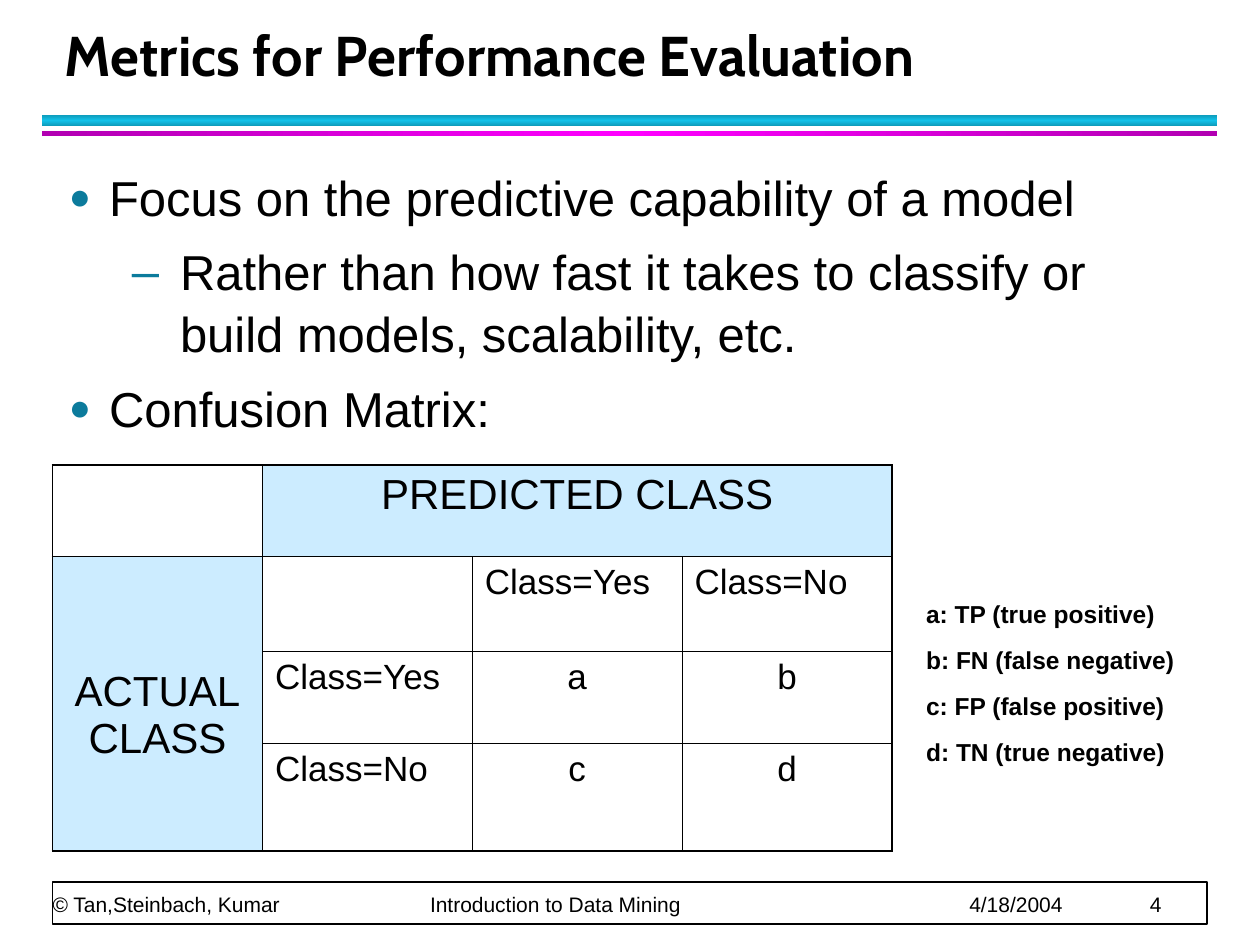
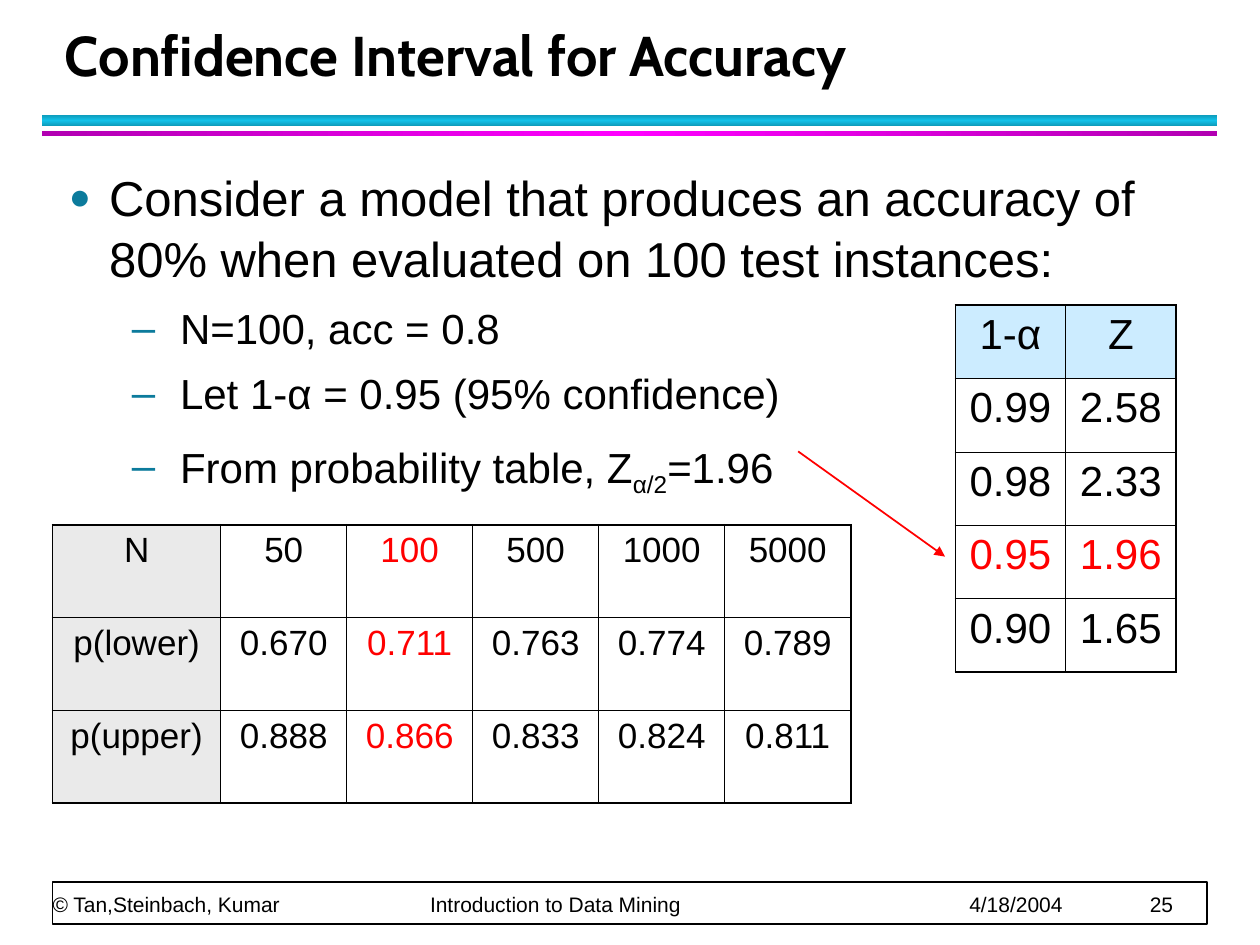
from lxml import etree
from pptx import Presentation
from pptx.dml.color import RGBColor
from pptx.enum.shapes import MSO_CONNECTOR, MSO_SHAPE
from pptx.enum.text import MSO_ANCHOR, PP_ALIGN
from pptx.oxml.ns import qn
from pptx.util import Cm, Pt

RECTANGLE = MSO_SHAPE.RECTANGLE
STRAIGHT = MSO_CONNECTOR.STRAIGHT
TOP, MIDDLE, BOTTOM = MSO_ANCHOR.TOP, MSO_ANCHOR.MIDDLE, MSO_ANCHOR.BOTTOM
LEFT, CENTER = PP_ALIGN.LEFT, PP_ALIGN.CENTER

COLORS = {
    "text": "000000", "white": "FFFFFF", "red": "FF0000",
    "bullet": "0C7B9C", "header": "CCECFF", "label": "EAEAEA",
    "cyan": "12C2E9", "cyan_edge": "0E9BBA",
    "magenta": "FF00FF", "magenta_edge": "B200B2",
}
BODY_FONT, TITLE_FONT = "Arial", "Cabin"
LEFT_EDGE = 1.06
LOOSE = 1.05
# Per level: left indent (cm), hanging indent (cm), bullet, bullet size (%)
BULLETS = [(0.81, 0.81, "●", 75), (2.24, 0.97, "–", 100)]
FOOTER_TABS = [7.61, 18.48, 22.12]


def rgb(name):
    return RGBColor.from_string(COLORS[name])


def sub(parent, tag, **attributes):
    """Append a child element with the given attributes."""
    child = etree.SubElement(parent, qn(tag))
    for key, value in attributes.items():
        child.set(key, str(value))
    return child


class Deck:
    """Shared style and the slide being built; lengths are in centimetres."""

    def __init__(self):
        self.presentation = Presentation()
        self.presentation.slide_width = Cm(25.4)
        self.presentation.slide_height = Cm(19.05)
        self.slide = None

    def new_slide(self, title, number):
        layout = self.presentation.slide_layouts[6]
        self.slide = self.presentation.slides.add_slide(layout)
        self.band(2.32, 0.22, "cyan", 90)
        self.band(2.64, 0.1, "magenta", 0)
        self.footer(number)
        frame = self.text_box(LEFT_EDGE, 0.43, 23.01, 1.47, BOTTOM)
        heading = frame.paragraphs[0]
        heading.line_spacing = Pt(36)
        self.run(heading, title, 32, font=TITLE_FONT, bold=True)

    def rectangle(self, left, top, width, height):
        shape = self.slide.shapes.add_shape(
            RECTANGLE, Cm(left), Cm(top), Cm(width), Cm(height))
        shape.shadow.inherit = False
        return shape

    def band(self, top, height, color, angle):
        band = self.rectangle(0.84, top, 23.7, height)
        band.line.fill.background()
        band.fill.gradient()
        band.fill.gradient_angle = angle
        stops = band.element.spPr.find(qn("a:gradFill")).find(qn("a:gsLst"))
        stops.clear()
        edge = color + "_edge"
        for position, name in ((0, edge), (50, color), (100, edge)):
            stop = sub(stops, "a:gs", pos=position * 1000)
            sub(stop, "a:srgbClr", val=COLORS[name])

    def footer(self, number):
        border = self.rectangle(LEFT_EDGE, 17.78, 23.28, 0.85)
        border.fill.solid()
        border.fill.fore_color.rgb = rgb("white")
        border.line.color.rgb = rgb("text")
        border.line.width = Pt(1)
        frame = self.text_box(LEFT_EDGE, 17.07, 23.24, 1.42, BOTTOM, margins=(0, 0))
        line = frame.paragraphs[0]
        line.line_spacing = Pt(20)
        tabs = sub(line._p.get_or_add_pPr(), "a:tabLst")
        for position in FOOTER_TABS:
            sub(tabs, "a:tab", pos=Cm(position), algn="l")
        parts = ("© Tan,Steinbach, Kumar", "Introduction to Data Mining",
                 "4/18/2004", str(number))
        self.run(line, "\t".join(parts), 12)

    def text_box(self, left, top, width, height, anchor=TOP, margins=(0.25, 0.13)):
        frame = self.slide.shapes.add_textbox(
            Cm(left), Cm(top), Cm(width), Cm(height)).text_frame
        frame.word_wrap = True
        frame.vertical_anchor = anchor
        frame.margin_left = frame.margin_right = Cm(margins[0])
        frame.margin_top = frame.margin_bottom = Cm(margins[1])
        return frame

    def run(self, paragraph, text, size, color="text", font=BODY_FONT,
            bold=False, baseline=0):
        run = paragraph.add_run()
        run.text = text
        run.font.size = Pt(size)
        run.font.name = font
        run.font.bold = bold
        run.font.color.rgb = rgb(color)
        if baseline:
            run.font._element.set("baseline", str(baseline * 1000))

    def paragraphs(self, frame, count):
        """Return the frame's paragraphs after growing it to the given count."""
        for _ in range(count - 1):
            frame.add_paragraph()
        return frame.paragraphs

    def bullets(self, items):
        """Each item is (level, runs); each run is (text, size[, baseline])."""
        frame = self.text_box(1.14, 3.18, 23.11, 14.4)
        for paragraph, (level, runs) in zip(
                self.paragraphs(frame, len(items)), items):
            indent, hanging, mark, percent = BULLETS[level]
            paragraph.level = level
            paragraph.line_spacing = LOOSE
            paragraph.space_before = Pt(max(part[1] for part in runs) / 8)
            paragraph.space_after = Pt(4)
            properties = paragraph._p.get_or_add_pPr()
            properties.set("marL", str(Cm(indent)))
            properties.set("indent", str(-Cm(hanging)))
            color = sub(properties, "a:buClr")
            sub(color, "a:srgbClr", val=COLORS["bullet"])
            sub(properties, "a:buSzPct", val=percent * 1000)
            sub(properties, "a:buFont", typeface=BODY_FONT)
            sub(properties, "a:buChar", char=mark)
            for text, size, *baseline in runs:
                self.run(paragraph, text, size, baseline=sum(baseline))

    def legend(self, lines, left, top, width, height):
        frame = self.text_box(left, top, width, height)
        for paragraph, text in zip(self.paragraphs(frame, len(lines)), lines):
            paragraph.space_before = Pt(8.8)
            paragraph.line_spacing = LOOSE
            self.run(paragraph, text, 14, bold=True)

    def table(self, rows, left, top, widths, heights, size, heads, head_fill,
              head_size=None, spans=(), red=(), left_aligned=()):
        """heads, red and left_aligned hold (row, column) places."""
        table = self.slide.shapes.add_table(
            len(rows), len(widths), Cm(left), Cm(top),
            Cm(sum(widths)), Cm(sum(heights))).table
        table.first_row = table.horz_banding = False
        for column, width in zip(table.columns, widths):
            column.width = Cm(width)
        for row, height in zip(table.rows, heights):
            row.height = Cm(height)
        for first, last in spans:
            table.cell(*first).merge(table.cell(*last))
        for r, texts in enumerate(rows):
            for c, text in enumerate(texts):
                place, cell = (r, c), table.cell(r, c)
                self.borders(cell, r, c, len(rows), len(widths))
                if place in heads:
                    cell.fill.solid()
                    cell.fill.fore_color.rgb = rgb(head_fill)
                else:
                    cell.fill.background()
                if text:
                    self.cell_text(
                        cell, text,
                        head_size if head_size and place in heads else size,
                        "red" if place in red else "text",
                        LEFT if place in left_aligned else CENTER)
        return table

    def cell_text(self, cell, text, size, color, alignment):
        paragraph = cell.text_frame.paragraphs[0]
        paragraph.alignment = alignment
        paragraph.space_before = Pt(size / 8)
        paragraph.space_after = Pt(4)
        for index, line in enumerate(text.split("\n")):
            if index:
                paragraph.add_line_break()
            self.run(paragraph, line, size, color)

    def borders(self, cell, row, column, row_count, column_count):
        """Draw thin inner rules and a thicker outer frame."""
        right = column + (cell.span_width if cell.is_merge_origin else 1)
        bottom = row + (cell.span_height if cell.is_merge_origin else 1)
        outer = {"a:lnL": column == 0, "a:lnR": right == column_count,
                 "a:lnT": row == 0, "a:lnB": bottom == row_count}
        properties = cell._tc.get_or_add_tcPr()
        for tag, is_outer in outer.items():
            rule = sub(properties, tag, w=Pt(1.08 if is_outer else 0.45))
            sub(sub(rule, "a:solidFill"), "a:srgbClr", val=COLORS["text"])

    def arrow(self, start, end, color):
        arrow = self.slide.shapes.add_connector(
            STRAIGHT, *(Cm(value) for value in start + end))
        arrow.line.color.rgb = rgb(color)
        arrow.line.width = Pt(1)
        properties = arrow.element.spPr
        sub(properties.find(qn("a:ln")), "a:tailEnd", type="triangle")
        sub(properties, "a:effectLst")


def confusion_matrix(deck):
    deck.new_slide("Metrics for Performance Evaluation", 4)
    deck.bullets([
        (0, [("Focus on the predictive capability of a model", 28)]),
        (1, [("Rather than how fast it takes to classify or build models, "
              "scalability, etc.", 28)]),
        (0, [("Confusion Matrix:", 28)]),
    ])
    matrix = deck.table(
        [["", "PREDICTED CLASS", "", ""],
         ["ACTUAL\nCLASS", "", "Class=Yes", "Class=No"],
         ["", "Class=Yes", "a", "b"],
         ["", "Class=No", "c", "d"]],
        LEFT_EDGE, 9.38, [4.23] * 4, [1.84, 1.91, 1.86, 2.16], size=20,
        heads={(0, 1), (1, 0)}, head_fill="header", head_size=24,
        spans=[((0, 1), (0, 3)), ((1, 0), (3, 0))],
        left_aligned={(1, 2), (1, 3), (2, 1), (3, 1)})
    actual_class = matrix.cell(1, 0)
    actual_class.vertical_anchor = MIDDLE
    actual_class.margin_top = Cm(0.6)
    deck.legend(["a: TP (true positive)", "b: FN (false negative)",
                 "c: FP (false positive)", "d: TN (true negative)"],
                18.42, 11.91, 6.15, 3.56)


def confidence_interval(deck):
    deck.new_slide("Confidence Interval for Accuracy", 25)
    deck.bullets([
        (0, [("Consider a model that produces an accuracy of 80% when "
              "evaluated on 100 test instances:", 28)]),
        (1, [("N=100, acc = 0.8", 24)]),
        (1, [("Let 1-α = 0.95 (95% confidence)", 24)]),
        (1, [("From probability table, Z", 24), ("α/2", 24, -25),
             ("=1.96", 24), (" ", 28)]),
    ])
    deck.table(
        [["1-α", "Z"], ["0.99", "2.58"], ["0.98", "2.33"],
         ["0.95", "1.96"], ["0.90", "1.65"]],
        19.26, 6.15, [2.22, 2.23], [1.48] * 5, size=24,
        heads={(0, 0), (0, 1)}, head_fill="header", red={(3, 0), (3, 1)})
    deck.arrow((16.09, 9.1), (19.05, 11.22), "red")
    deck.table(
        [["N", "50", "100", "500", "1000", "5000"],
         ["p(lower)", "0.670", "0.711", "0.763", "0.774", "0.789"],
         ["p(upper)", "0.888", "0.866", "0.833", "0.824", "0.811"]],
        LEFT_EDGE, 10.58, [3.39] + [2.54] * 5, [1.87] * 3, size=20,
        heads={(row, 0) for row in range(3)}, head_fill="label",
        red={(row, 2) for row in range(3)})


def main():
    deck = Deck()
    confusion_matrix(deck)
    confidence_interval(deck)
    deck.presentation.save("out.pptx")


if __name__ == "__main__":
    main()
